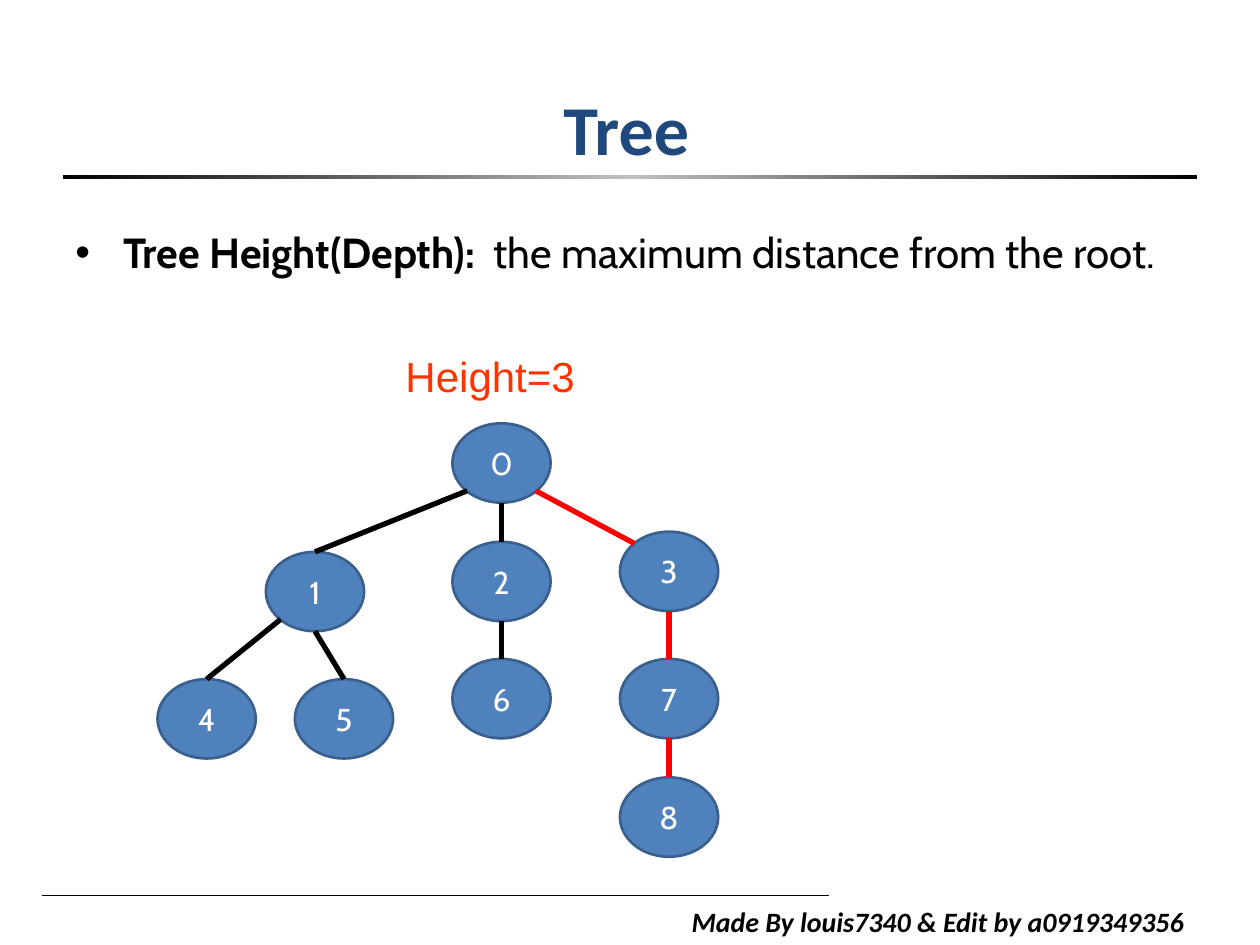
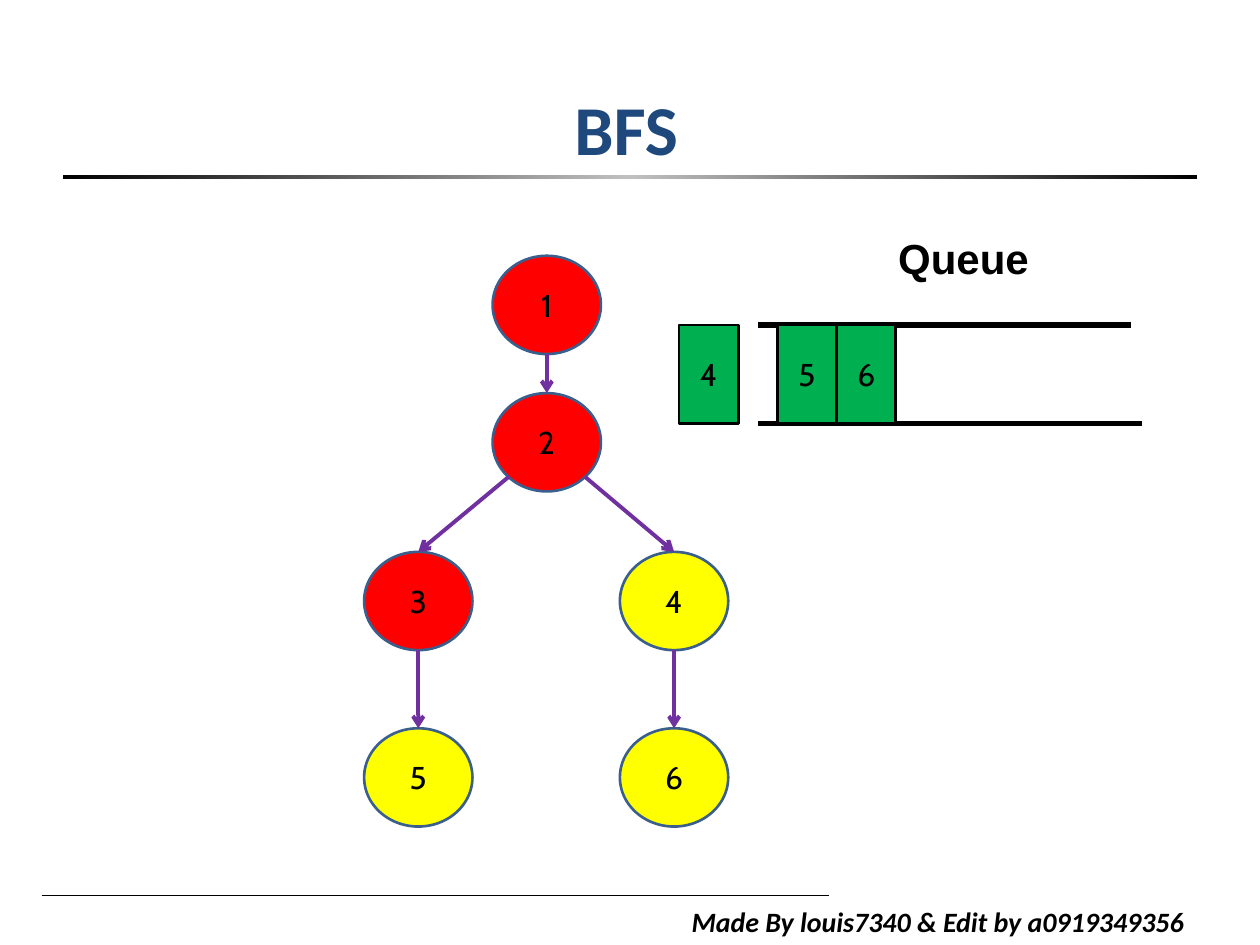
from copy import deepcopy

from lxml import etree
from pptx import Presentation
from pptx.dml.color import RGBColor
from pptx.enum.shapes import MSO_CONNECTOR, MSO_SHAPE
from pptx.enum.text import MSO_ANCHOR, PP_ALIGN
from pptx.oxml.ns import qn
from pptx.util import Inches, Pt

STRAIGHT = MSO_CONNECTOR.STRAIGHT
ELLIPSE, RECTANGLE = MSO_SHAPE.OVAL, MSO_SHAPE.RECTANGLE
MIDDLE, TOP = MSO_ANCHOR.MIDDLE, MSO_ANCHOR.TOP
CENTER, LEFT = PP_ALIGN.CENTER, PP_ALIGN.LEFT
TITLE_ONLY = 5

COLORS = {
    "black": "000000", "white": "FFFFFF", "silver": "C0C0C0",
    "title": "1F497D", "node": "4F81BD", "outline": "3A5F8C",
    "red": "FF0000", "height": "FF3300", "yellow": "FFFF00",
    "arrow": "7030A0", "queue": "00B050",
}
TITLE = {"name": "Calibri", "size": Pt(40), "bold": True}
FOOTER = {"name": "Calibri", "size": Pt(16), "bold": True, "italic": True}
BODY = {"name": "Cabin", "size": Pt(24)}
LABEL = {"name": "Cabin", "size": Pt(18)}
CAPTION = {"name": "Arial", "size": Pt(24)}

SIDES = {
    "top": (0.5, 0), "bottom": (0.5, 1), "top left": (0.15, 0.15),
    "bottom left": (0.15, 0.85), "bottom right": (0.85, 0.85),
}
DEPTH_NODES = {
    "0": (2.34, 0), "1": (0.86, 1.02), "2": (2.34, 0.94), "3": (3.67, 0.86),
    "4": (0, 2.03), "5": (1.09, 2.03), "6": (2.34, 1.87), "7": (3.67, 1.87),
    "8": (3.67, 2.81),
}
DEPTH_EDGES = [
    ("0", "bottom left", "1", "top", "black"),
    ("0", "bottom", "2", "top", "black"),
    ("1", "bottom", "5", "top", "black"),
    ("1", "bottom left", "4", "top", "black"),
    ("2", "bottom", "6", "top", "black"),
    ("0", "bottom right", "3", "top left", "red"),
    ("3", "bottom", "7", "top", "red"),
    ("7", "bottom", "8", "top", "red"),
]
SEARCH_NODES = {
    "1": (1.02, 0), "2": (1.02, 1.09), "3": (0, 2.35),
    "4": (2.03, 2.35), "5": (0, 3.75), "6": (2.03, 3.75),
}
SEARCH_EDGES = [
    ("1", "bottom", "2", "top", "arrow"),
    ("2", "bottom left", "3", "top", "arrow"),
    ("2", "bottom right", "4", "top", "arrow"),
    ("3", "bottom", "5", "top", "arrow"),
    ("4", "bottom", "6", "top", "arrow"),
]
VISITED = {"1", "2", "3"}


def rgb(color):
    """Return the named colour."""
    return RGBColor.from_string(COLORS[color])


def inches(*lengths):
    """Convert lengths to inches."""
    return [Inches(length) for length in lengths]


def add_span(para, text, color, style):
    """Append a formatted run to a paragraph."""
    span = para.add_run()
    span.text = text
    span.font.color.rgb = rgb(color)
    for name, value in style.items():
        setattr(span.font, name, value)


def add_text(page, box, text, color, style):
    """Add a wrapped text box and return its paragraph."""
    frame = page.shapes.add_textbox(*inches(*box)).text_frame
    frame.word_wrap = True
    frame.vertical_anchor = TOP
    para = frame.paragraphs[0]
    para.alignment = LEFT
    add_span(para, text, color, style)
    return para


def add_cell(page, kind, box, text, fill, outline, color):
    """Add an outlined shape with a centred label."""
    cell = page.shapes.add_shape(kind, *inches(*box))
    cell.shadow.inherit = False
    cell.fill.solid()
    cell.fill.fore_color.rgb = rgb(fill)
    cell.line.color.rgb = rgb(outline)
    cell.line.width = Pt(1.5)
    cell.text_frame.vertical_anchor = MIDDLE
    para = cell.text_frame.paragraphs[0]
    para.alignment = CENTER
    add_span(para, text, color, LABEL)


def add_line(page, start, end, color, width, arrow=False):
    """Add a straight line, with an arrowhead at its end if asked."""
    line = page.shapes.add_connector(STRAIGHT, *inches(*start, *end))
    line.line.color.rgb = rgb(color)
    line.line.width = Pt(width)
    properties = line._element.spPr
    if arrow:
        etree.SubElement(properties.find(qn("a:ln")), qn("a:tailEnd"), type="arrow")
    etree.SubElement(properties, qn("a:effectLst"))


def add_rule(page, box):
    """Add the band below the title, which pales in the middle."""
    rule = page.shapes.add_shape(RECTANGLE, *inches(*box))
    rule.shadow.inherit = False
    rule.line.fill.background()
    rule.fill.gradient()
    rule.fill.gradient_angle = 0
    stops = rule._element.spPr.find(".//" + qn("a:gsLst"))
    stops.append(deepcopy(stops[0]))
    for index, color in enumerate(("black", "silver", "black")):
        stop = rule.fill.gradient_stops[index]
        stop.color.rgb = rgb(color)
        stop.position = index / 2


def add_page(deck, heading):
    """Add a slide with its title, band and footer."""
    page = deck.slides.add_slide(deck.slide_layouts[TITLE_ONLY])
    title = page.shapes.title
    for name, value in zip(("left", "top", "width", "height"), inches(0.47, 0.39, 9, 1.25)):
        setattr(title, name, value)
    title.text_frame.vertical_anchor = MIDDLE
    para = title.text_frame.paragraphs[0]
    para.alignment = CENTER
    add_span(para, heading, "title", TITLE)
    add_rule(page, (0.5, 1.39, 9, 0.03))
    add_line(page, (0.33, 7.11), (6.58, 7.11), "black", 0.5)
    add_text(page, (5.39, 7.13, 4.47, 0.34),
             "Made By louis7340 & Edit by a0919349356", "black", FOOTER)
    return page


def add_definition(page, box, term, meaning):
    """Add a bulleted term with its meaning."""
    para = add_text(page, box, term, "black", {**BODY, "bold": True})
    add_span(para, meaning, "black", BODY)
    para.space_before = Pt(4.8)
    properties = para._p.get_or_add_pPr()
    properties.set("marL", str(Inches(0.38)))
    properties.set("indent", str(-Inches(0.38)))
    etree.SubElement(properties, qn("a:buFont"), typeface="Arial")
    etree.SubElement(properties, qn("a:buChar"), char="•")


def add_tree(page, origin, size, nodes, edges, fills, color, width, arrow=False):
    """Draw labelled nodes from an origin and join them by their sides."""
    left, top = origin

    def side_point(label, side):
        """Return the point on the named side of a node."""
        x, y = nodes[label]
        across, down = SIDES[side]
        return left + x + across * size[0], top + y + down * size[1]

    for label, (x, y) in nodes.items():
        add_cell(page, ELLIPSE, (left + x, top + y, *size), label,
                 fills[label], "outline", color)
    for parent, leaving, child, arriving, stroke in edges:
        add_line(page, side_point(parent, leaving), side_point(child, arriving),
                 stroke, width, arrow)


def add_queue(page, origin, removed, waiting):
    """Draw a captioned queue with the item that has just left it."""
    left, top = origin
    width, height = 0.47, 0.78
    row = top + 0.78
    add_text(page, (left + 1.64, top, 1.25, 0.5), "Queue", "black", {**CAPTION, "bold": True})
    for y, length in ((row, 2.96), (row + height, 3.04)):
        add_line(page, (left + 0.63, y), (left + 0.63 + length, y), "black", 3)
    places = [(removed, 0)]
    places += [(item, 0.78 + index * width) for index, item in enumerate(waiting)]
    for item, x in places:
        add_cell(page, RECTANGLE, (left + x, row, width, height), item,
                 "queue", "black", "black")


def build_tree_page(deck):
    """Build the slide on tree height."""
    page = add_page(deck, "Tree")
    add_definition(page, (0.5, 1.75, 9, 0.6), "Tree Height(Depth):  ",
                   "the maximum distance from the root.")
    add_tree(page, (1.25, 3.36), (0.78, 0.63), DEPTH_NODES, DEPTH_EDGES,
             dict.fromkeys(DEPTH_NODES, "node"), "white", 3)
    add_text(page, (3.12, 2.73, 2.5, 0.5), "Height=3", "height", CAPTION)


def build_search_page(deck):
    """Build the slide on breadth-first search."""
    page = add_page(deck, "BFS")
    fills = {label: "red" if label in VISITED else "yellow" for label in SEARCH_NODES}
    add_tree(page, (2.89, 2.03), (0.86, 0.78), SEARCH_NODES, SEARCH_EDGES,
             fills, "black", 2.25, arrow=True)
    add_queue(page, (5.39, 1.8), "4", ("5", "6"))


def main():
    """Build and save the deck."""
    deck = Presentation()
    deck.slide_width, deck.slide_height = inches(10, 7.5)
    build_tree_page(deck)
    build_search_page(deck)
    deck.save("out.pptx")


if __name__ == "__main__":
    main()
